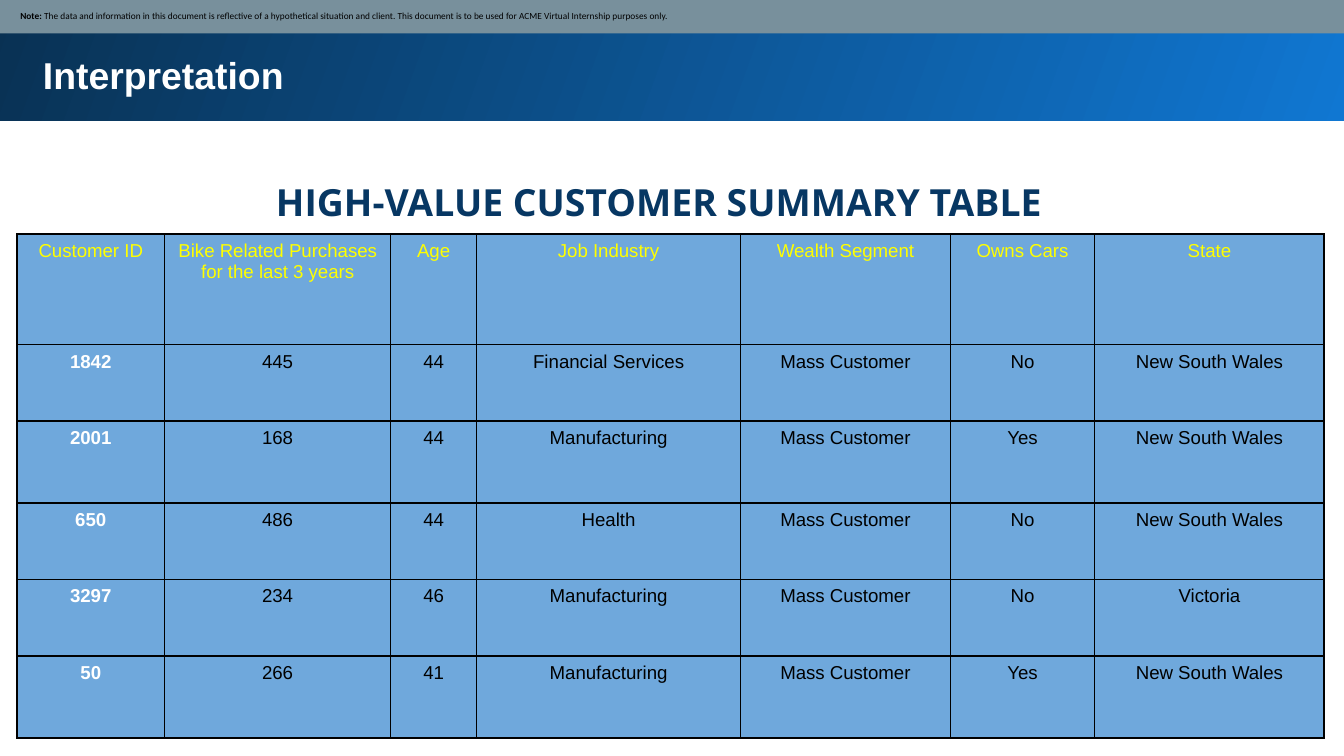
from lxml.etree import SubElement
from pptx import Presentation
from pptx.dml.color import RGBColor
from pptx.enum.shapes import MSO_SHAPE
from pptx.enum.text import MSO_ANCHOR, MSO_AUTO_SIZE, PP_ALIGN
from pptx.oxml.ns import qn
from pptx.util import Pt

# Content
TITLE = "Interpretation"
HEADING = "HIGH-VALUE CUSTOMER SUMMARY TABLE"
NOTE = [
    ("Note: ", True),
    ("The data and information in this document is reflective of a hypothetical situation and client. "
     "This document is to be used for ACME Virtual Internship purposes only.", False),
]
CUSTOMERS = [
    ("Customer ID", "Bike Related Purchases for the last 3 years", "Age", "Job Industry",
     "Wealth Segment", "Owns Cars", "State"),
    ("1842", "445", "44", "Financial Services", "Mass Customer", "No", "New South Wales"),
    ("2001", "168", "44", "Manufacturing", "Mass Customer", "Yes", "New South Wales"),
    ("650", "486", "44", "Health", "Mass Customer", "No", "New South Wales"),
    ("3297", "234", "46", "Manufacturing", "Mass Customer", "No", "Victoria"),
    ("50", "266", "41", "Manufacturing", "Mass Customer", "Yes", "New South Wales"),
]
COLUMN_WIDTHS = [79.2, 121, 46.2, 141.3, 112.5, 77.3, 123]
ROW_HEIGHTS = [59.3, 41, 43.9, 41, 41, 43.9]
COLORS = {
    "white": "FFFFFF", "black": "000000", "yellow": "FFFF00", "navy": "073763",
    "band_light": "1077D2", "band_dark": "093153", "note": "78909C", "cell": "6FA8DC",
}


def color(name):
    return RGBColor.from_string(COLORS[name])


def style(paragraph, font_name, size, color_name, bold=None, alignment=PP_ALIGN.LEFT):
    paragraph.alignment = alignment
    font = paragraph.font
    font.name, font.size, font.bold = font_name, Pt(size), bold
    font.color.rgb = color(color_name)


def set_frame(text_frame, inset, anchor=MSO_ANCHOR.TOP):
    text_frame.word_wrap = True
    text_frame.auto_size = MSO_AUTO_SIZE.NONE
    text_frame.vertical_anchor = anchor
    text_frame.margin_left = text_frame.margin_right = Pt(inset)
    text_frame.margin_top = text_frame.margin_bottom = Pt(inset)


def add_band(left, top, width, height):
    band = slide.shapes.add_shape(MSO_SHAPE.RECTANGLE, Pt(left), Pt(top), Pt(width), Pt(height))
    band.shadow.inherit = False
    band.line.fill.background()
    return band


def add_borders(cell):
    properties = cell._tc.get_or_add_tcPr()
    for position, side in enumerate(("lnL", "lnR", "lnT", "lnB")):
        line = properties.makeelement(qn(f"a:{side}"), {"w": str(Pt(1))})
        fill = SubElement(line, qn("a:solidFill"))
        SubElement(fill, qn("a:srgbClr"), val=COLORS["black"])
        properties.insert(position, line)


presentation = Presentation()
presentation.slide_width, presentation.slide_height = Pt(720), Pt(405)
slide = presentation.slides.add_slide(presentation.slide_layouts[5])

# Gradient band behind the title
title_band = add_band(-1.4, -1.4, 723.6, 66.2)
title_band.fill.gradient()
title_band.fill.gradient_angle = 160
for stop, name in zip(title_band.fill.gradient_stops, ("band_light", "band_dark")):
    stop.color.rgb = color(name)

# Title, brought in front of the band
title = slide.shapes.title
title.left, title.top, title.width, title.height = Pt(15.8), Pt(20.9), Pt(674.6), Pt(59.8)
slide.shapes._spTree.append(title._element)
title.text_frame.text = TITLE
set_frame(title.text_frame, 7.2)
style(title.text_frame.paragraphs[0], "Arial", 20, "white", True)

# Table heading
heading = slide.shapes.add_textbox(Pt(15.8), Pt(85), Pt(674.6), Pt(40.3))
heading.text_frame.text = HEADING
set_frame(heading.text_frame, 7.2)
paragraph = heading.text_frame.paragraphs[0]
style(paragraph, "Open Sans", 20, "navy", True, PP_ALIGN.CENTER)
paragraph.line_spacing = 1.15

# Note strip
note_strip = add_band(-0.7, -0.7, 722, 18.7)
note_strip.fill.solid()
note_strip.fill.fore_color.rgb = color("note")
set_frame(note_strip.text_frame, 3.6, MSO_ANCHOR.MIDDLE)
note_strip.text_frame.margin_left = Pt(11.6)
paragraph = note_strip.text_frame.paragraphs[0]
style(paragraph, "Calibri", 5, "black")
for text, bold in NOTE:
    run = paragraph.add_run()
    run.text, run.font.bold = text, bold

# Customer table
table = slide.shapes.add_table(
    len(CUSTOMERS), len(COLUMN_WIDTHS), Pt(9), Pt(125.3),
    Pt(sum(COLUMN_WIDTHS)), Pt(sum(ROW_HEIGHTS))).table
table.first_row = table.horz_banding = False
for column, width in zip(table.columns, COLUMN_WIDTHS):
    column.width = Pt(width)
for row_index, (row, height, values) in enumerate(zip(table.rows, ROW_HEIGHTS, CUSTOMERS)):
    row.height = Pt(height)
    for column_index, (cell, value) in enumerate(zip(row.cells, values)):
        is_header = row_index == 0
        is_customer_id = column_index == 0 and not is_header
        text_color = "yellow" if is_header else "white" if is_customer_id else "black"
        cell.text = value
        cell.fill.solid()
        cell.fill.fore_color.rgb = color("cell")
        style(cell.text_frame.paragraphs[0], "Arial", 10, text_color, is_customer_id, PP_ALIGN.CENTER)
        add_borders(cell)

presentation.save("out.pptx")
